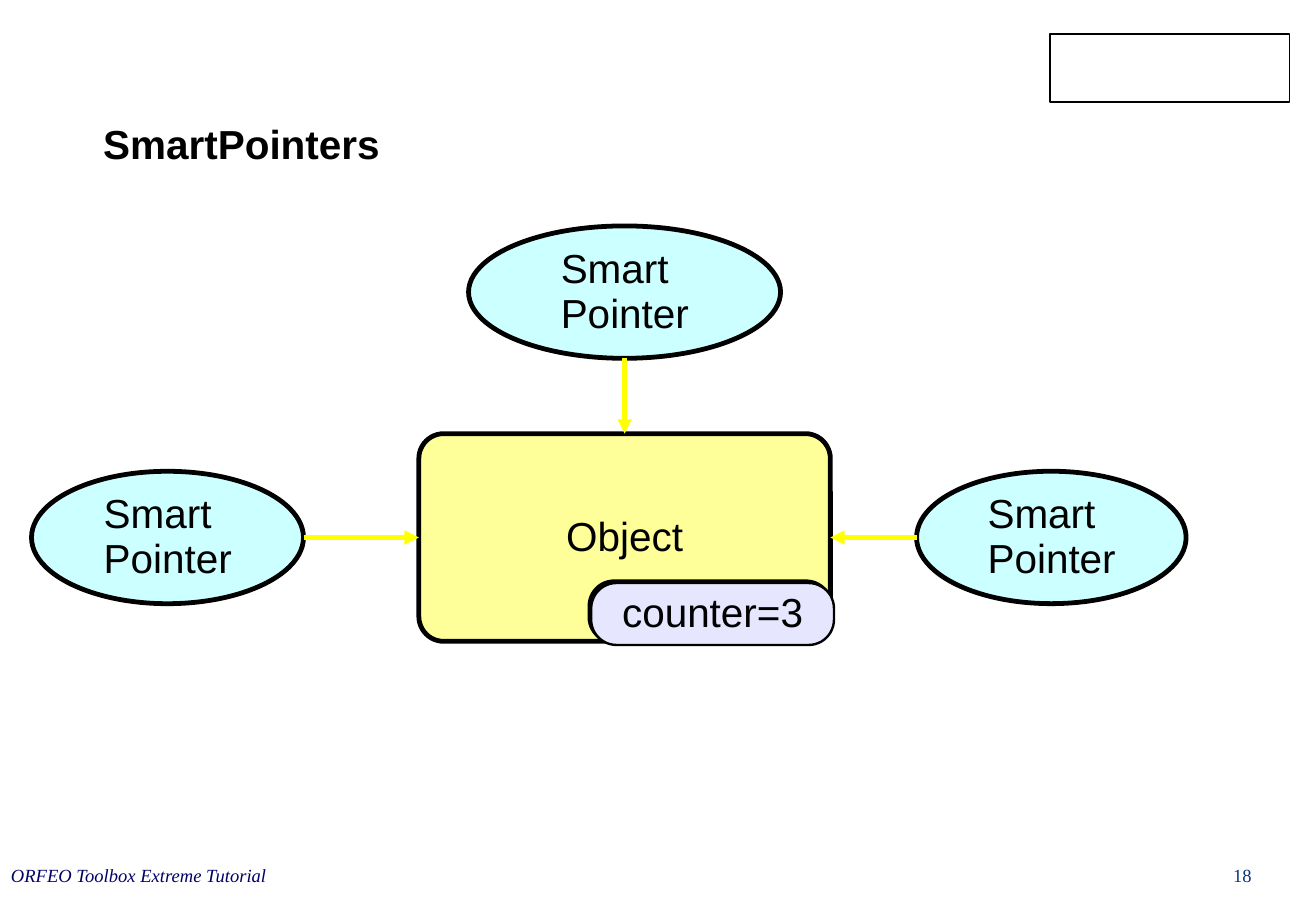
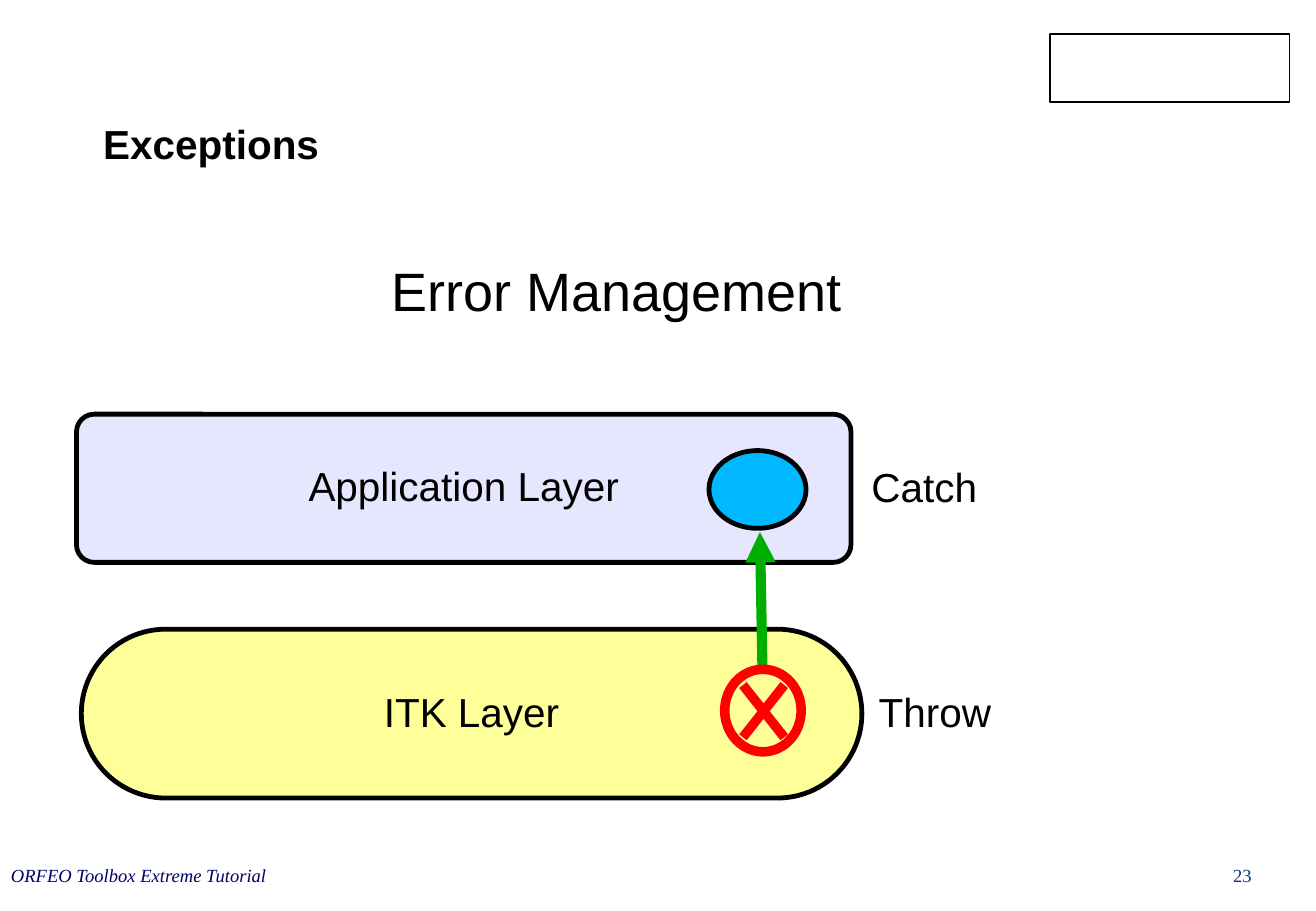
from pptx import Presentation
from pptx.dml.color import RGBColor
from pptx.enum.shapes import MSO_CONNECTOR, MSO_SHAPE
from pptx.enum.text import MSO_ANCHOR, PP_ALIGN
from pptx.oxml.ns import qn
from pptx.util import Inches, Pt
from lxml.etree import SubElement

BLACK = RGBColor(0x00, 0x00, 0x00)
WHITE = RGBColor(0xFF, 0xFF, 0xFF)
NAVY = RGBColor(0x00, 0x00, 0x66)
BLUE = RGBColor(0x09, 0x36, 0x7A)
PALE_YELLOW = RGBColor(0xFF, 0xFF, 0x99)
YELLOW = RGBColor(0xFF, 0xFF, 0x00)
LAVENDER = RGBColor(0xE6, 0xE6, 0xFF)
CYAN = RGBColor(0xCC, 0xFF, 0xFF)
SKY = RGBColor(0x00, 0xB8, 0xFF)
GREEN = RGBColor(0x00, 0xAE, 0x00)
RED = RGBColor(0xFF, 0x00, 0x00)

# Content: lengths in inches, boxes as left, top, width, height
FOOTER = "ORFEO Toolbox Extreme Tutorial"
FOOTER_BOX = (0, 7.06, 2.32, 0.28)
NUMBER_BOX = (10.06, 7.06, 0.78, 0.29)
TITLE_BOX = (0.75, 0.58, 8.5, 1.25)
EMBLEM_BOX = (8.65, 0.28, 1.97, 0.56)

OBJECT_BOX = (3.45, 3.57, 3.39, 1.71)
COUNTER_BOX = (4.85, 4.78, 2, 0.51)
COUNTER_LAYERS, COUNTER_STEP = 3, 0.01
POINTER_TEXT = "Smart\vPointer"
POINTER_TEXT_WIDTH = 1.05
POINTERS = [  # box, side the arrow leaves from, side of the object it meets
    ((0.26, 3.88, 2.24, 1.09), "right", 1),
    ((3.86, 1.86, 2.57, 1.09), "bottom", 0),
    ((7.55, 3.88, 2.22, 1.09), "left", 3),
]

LAYERS = [  # text, box, corner, fill, side label, label box
    ("ITK Layer", (0.67, 5.18, 6.43, 1.39), 0.5, PALE_YELLOW,
     "Throw", (7.14, 5.6, 1.2, 0.51)),
    ("Application Layer", (0.63, 3.41, 6.38, 1.22), 0.12, LAVENDER,
     "Catch", (7.08, 3.75, 1.2, 0.51)),
]
HEADING_BOX = (0.24, 2.17, 9.68, 0.5)
THROW_ARROW = ((6.28, 5.48), (6.26, 4.38))
CATCH_BOX = (5.84, 3.71, 0.8, 0.64)
THROW_BOX = (5.97, 5.51, 0.63, 0.68)
CROSS_LEFT, CROSS_TOP, CROSS_RIGHT, CROSS_BOTTOM = 6.12, 5.64, 6.46, 6.07


def inches(values):
    return [Inches(value) for value in values]


def write(frame, text, size=24, color=BLACK, font="Arial", align=PP_ALIGN.LEFT,
          spacing=0.93, anchor=MSO_ANCHOR.TOP, margins=(0, 0), **styles):
    across, down = inches(margins)
    settings = {"word_wrap": True, "vertical_anchor": anchor,
                "margin_left": across, "margin_right": across,
                "margin_top": down, "margin_bottom": down}
    for name, value in settings.items():
        setattr(frame, name, value)
    frame.text = text
    para = frame.paragraphs[0]
    para.alignment, para.line_spacing = align, spacing
    for span in para.runs:
        span.font.color.rgb = color
        for name, value in {"name": font, "size": Pt(size), **styles}.items():
            setattr(span.font, name, value)


def add_figure(page, kind, box, fill=None, line=BLACK, width=2.83, corner=None):
    shape = page.shapes.add_shape(kind, *inches(box))
    shape.shadow.inherit = False
    if fill is None:
        shape.fill.background()
    else:
        shape.fill.solid()
        shape.fill.fore_color.rgb = fill
    if line is None:
        shape.line.fill.background()
    else:
        shape.line.color.rgb = line
        shape.line.width = Pt(width)
    if corner is not None:
        shape.adjustments[0] = corner
    return shape


def add_caption(page, box, text, margins=(0.1, 0.05), **styles):
    shape = add_figure(page, MSO_SHAPE.ROUNDED_RECTANGLE, box, line=None, corner=0)
    write(shape.text_frame, text, margins=margins, **styles)


def label(shape, text):
    write(shape.text_frame, text, align=PP_ALIGN.CENTER, anchor=MSO_ANCHOR.MIDDLE)


def add_line(page, start, end, color, width, arrow=False):
    line = page.shapes.add_connector(MSO_CONNECTOR.STRAIGHT, *inches(start + end))
    line.line.color.rgb = color
    line.line.width = Pt(width)
    if arrow:
        SubElement(line.line._get_or_add_ln(), qn("a:tailEnd"), type="triangle")
    SubElement(line._element.spPr, qn("a:effectLst"))
    return line


def side_point(box, side):
    left, top, width, height = box
    return {"left": (left, top + height / 2),
            "right": (left + width, top + height / 2),
            "bottom": (left + width / 2, top + height)}[side]


def add_page(deck, title, number):
    page = deck.slides.add_slide(deck.slide_layouts[5])
    # Footer, page number and emblem block
    small = {"size": 11, "font": "Times New Roman", "spacing": 1}
    add_caption(page, FOOTER_BOX, FOOTER, color=NAVY, italic=True,
                margins=(0.09, 0.05), **small)
    add_caption(page, NUMBER_BOX, str(number), color=BLUE, **small)
    add_figure(page, MSO_SHAPE.RECTANGLE, EMBLEM_BOX, WHITE, width=0.75)
    # Title
    heading = page.shapes.title
    heading.left, heading.top, heading.width, heading.height = inches(TITLE_BOX)
    write(heading.text_frame, title, bold=True, anchor=MSO_ANCHOR.MIDDLE,
          margins=(0.1, 0.05))
    return page


def build_pointers(deck):
    page = add_page(deck, "SmartPointers", 18)
    # Object with its counter
    target = add_figure(page, MSO_SHAPE.ROUNDED_RECTANGLE, OBJECT_BOX,
                        PALE_YELLOW, corner=0.12)
    label(target, "Object")
    left, top, width, height = COUNTER_BOX
    for layer in range(COUNTER_LAYERS):
        shift = layer * COUNTER_STEP
        counter = add_figure(page, MSO_SHAPE.ROUNDED_RECTANGLE,
                             (left + shift, top + shift, width, height),
                             LAVENDER, width=1.42, corner=0.41)
    label(counter, "counter=3")
    # Pointers: the text block is centred, its lines start flush left
    for box, side, site in POINTERS:
        oval = add_figure(page, MSO_SHAPE.OVAL, box, CYAN)
        inset = (box[2] / 2 ** 0.5 - POINTER_TEXT_WIDTH) / 2
        write(oval.text_frame, POINTER_TEXT, anchor=MSO_ANCHOR.MIDDLE)
        oval.text_frame.margin_left = Inches(inset)
        start = side_point(box, side)
        arrow = add_line(page, start, start, YELLOW, 2.83, arrow=True)
        arrow.end_connect(target, site)


def build_exceptions(deck):
    page = add_page(deck, "Exceptions", 23)
    heading = page.shapes.add_textbox(*inches(HEADING_BOX))
    write(heading.text_frame, "Error Management", size=32, align=PP_ALIGN.CENTER)
    # Layers and their side labels
    for text, box, corner, fill, side_text, side_box in LAYERS:
        label(add_figure(page, MSO_SHAPE.ROUNDED_RECTANGLE, box, fill,
                         corner=corner), text)
        add_caption(page, side_box, side_text, spacing=1.01)
    # Exception thrown from one layer and caught in the other
    add_line(page, *THROW_ARROW, GREEN, 6, arrow=True)
    add_figure(page, MSO_SHAPE.OVAL, CATCH_BOX, SKY)
    for start_y, end_y in ((CROSS_TOP, CROSS_BOTTOM), (CROSS_BOTTOM, CROSS_TOP)):
        add_line(page, (CROSS_LEFT, start_y), (CROSS_RIGHT, end_y), RED, 5.67)
    add_figure(page, MSO_SHAPE.OVAL, THROW_BOX, line=RED, width=5.67)


def main():
    deck = Presentation()
    deck.slide_width, deck.slide_height = inches((10.84, 7.5))
    build_pointers(deck)
    build_exceptions(deck)
    deck.save("out.pptx")


if __name__ == "__main__":
    main()
